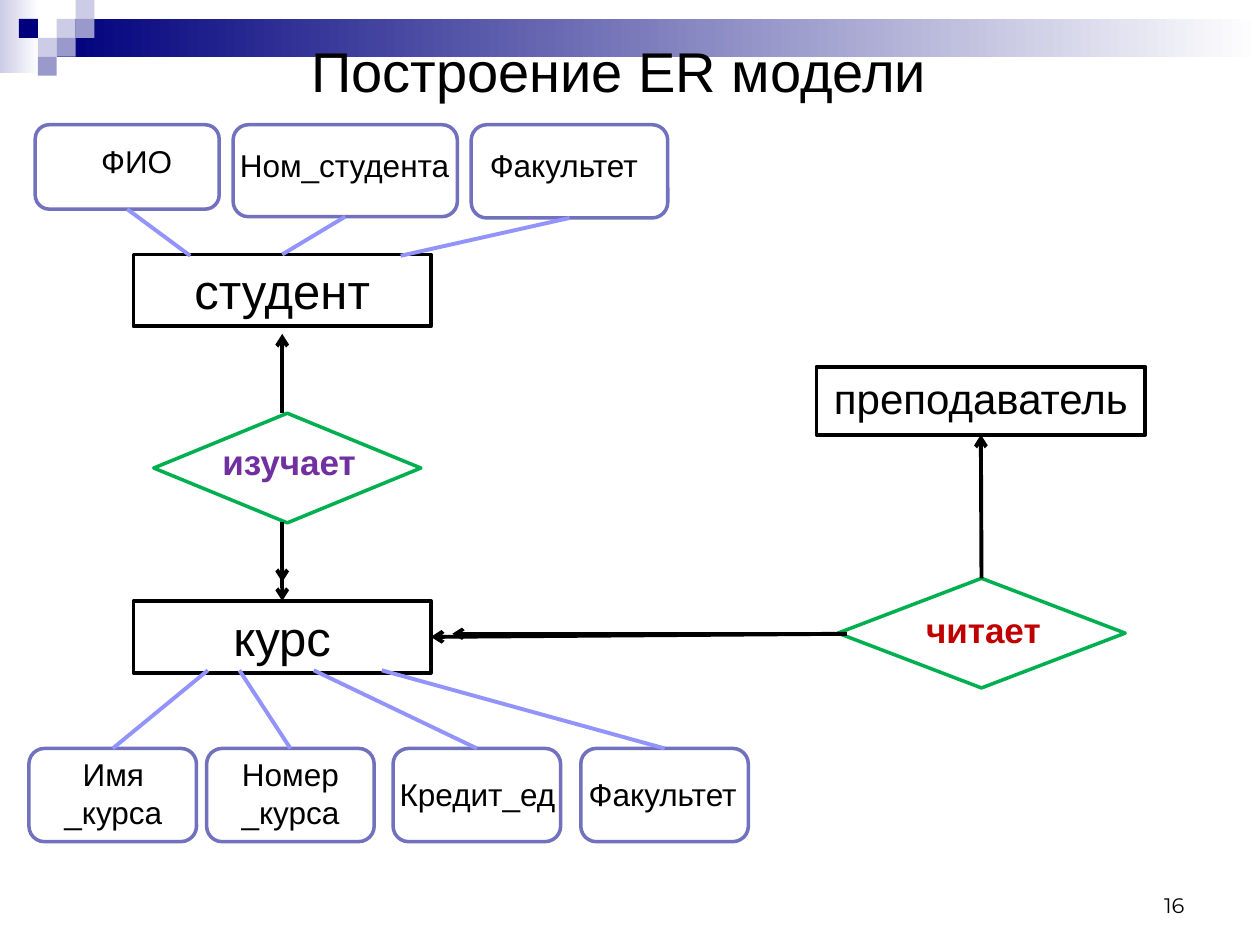
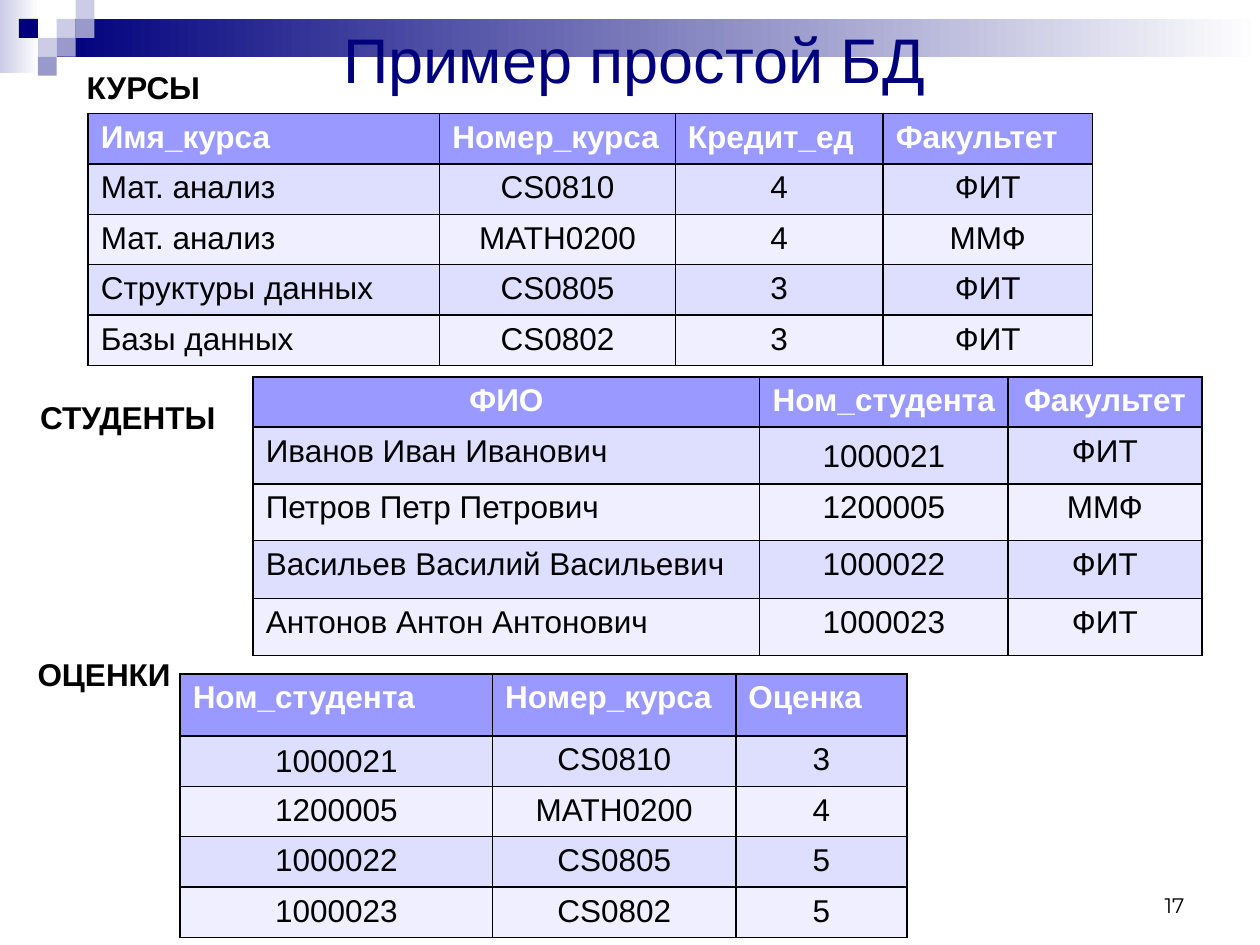
from dataclasses import dataclass
from typing import Any, NamedTuple, Optional

from lxml import etree
from pptx import Presentation
from pptx.dml.color import RGBColor
from pptx.enum import shapes, text
from pptx.oxml import ns
from pptx.util import Inches, Pt


@dataclass(frozen=True)
class Theme:
    font: str = "Arial"
    number_font: str = "Montserrat"
    black: str = "000000"
    white: str = "FFFFFF"
    navy: str = "00007D"
    pale: str = "CCCCE6"
    lilac: str = "9999CC"
    attribute_line: str = "7171BD"
    attribute_link: str = "9393FC"
    relation_line: str = "00B050"
    studies: str = "7030A0"
    teaches: str = "C00000"
    header_fill: str = "9999FF"
    row_fills: tuple[str, str] = ("DEDEFF", "EFEFFF")
    body: int = 18
    relation: int = 20
    number: int = 12
    thick: float = 2.25
    thin: float = 2


THEME = Theme()
ALIGN = {"l": text.PP_ALIGN.LEFT, "c": text.PP_ALIGN.CENTER, "r": text.PP_ALIGN.RIGHT}
RECT = shapes.MSO_SHAPE.RECTANGLE
ROUNDED = shapes.MSO_SHAPE.ROUNDED_RECTANGLE
DIAMOND = shapes.MSO_SHAPE.DIAMOND
TOP, BOTTOM, RIGHT = 0, 2, 3


class Box(NamedTuple):
    left: float
    top: float
    width: float
    height: float

    def emu(self) -> list[int]:
        return [Inches(v) for v in self]


class Style(NamedTuple):
    size: float
    color: str = THEME.black
    bold: bool = False
    align: str = "c"
    font: str = THEME.font


class Joint(NamedTuple):
    """The middle of one side of a shape."""
    shape: Any
    side: int


class Point(NamedTuple):
    x: float
    y: float


class Attribute(NamedTuple):
    name: str
    box: Box
    label: Box
    link_x: Optional[float]  # None: the middle of the entity's side


class Relation(NamedTuple):
    name: str
    color: str
    box: Box
    label: Box


@dataclass(frozen=True)
class DataTable:
    caption: str
    caption_box: Box
    left: float
    top: float
    columns: tuple[float, ...]
    heights: tuple[float, ...]
    header_align: str
    body_align: str
    tight_column: Optional[int]  # column whose first value has no margins
    rows: tuple[tuple[str, ...], ...]


def rgb(color: str) -> RGBColor:
    return RGBColor.from_string(color)


def write(tf: Any, content: str, style: Style) -> None:
    p = tf.paragraphs[0]
    p.alignment = ALIGN[style.align]
    for i, line in enumerate(content.split("\n")):
        if i:
            p.add_line_break()
        r = p.add_run()
        r.text = line
        r.font.name = style.font
        r.font.size = Pt(style.size)
        r.font.bold = style.bold
        r.font.color.rgb = rgb(style.color)


def add_text(s: Any, box: Box, content: str, style: Style,
             anchor: Any = text.MSO_ANCHOR.TOP, inset: Optional[float] = None) -> None:
    tf = s.shapes.add_textbox(*box.emu()).text_frame
    tf.word_wrap = True
    tf.vertical_anchor = anchor
    if inset is not None:
        tf.margin_left = tf.margin_right = tf.margin_top = tf.margin_bottom = Inches(inset)
    write(tf, content, style)


def add_outline(s: Any, kind: Any, box: Box, color: str, width: float) -> Any:
    sp = s.shapes.add_shape(kind, *box.emu())
    sp.shadow.inherit = False
    sp.fill.background()
    sp.line.color.rgb = rgb(color)
    sp.line.width = Pt(width)
    return sp


def add_entity(s: Any, box: Box, name: str, size: int) -> Any:
    sp = add_outline(s, RECT, box, THEME.black, THEME.thick)
    sp.text_frame.word_wrap = True
    sp.text_frame.vertical_anchor = text.MSO_ANCHOR.TOP
    write(sp.text_frame, name, Style(size))
    return sp


def add_relation(s: Any, relation: Relation) -> Any:
    sp = add_outline(s, DIAMOND, relation.box, THEME.relation_line, THEME.thin)
    add_text(s, relation.label, relation.name,
             Style(THEME.relation, relation.color, bold=True))
    return sp


def add_line(s: Any, start: Point | Joint, end: Point | Joint, color: str = THEME.black,
             width: float = THEME.thick, arrow: bool = True) -> None:
    ends = [Point(0, 0) if isinstance(e, Joint) else e for e in (start, end)]
    line = s.shapes.add_connector(shapes.MSO_CONNECTOR.STRAIGHT,
                                  *[Inches(v) for e in ends for v in e])
    if isinstance(start, Joint):
        line.begin_connect(*start)
    if isinstance(end, Joint):
        line.end_connect(*end)
    line.line.color.rgb = rgb(color)
    line.line.width = Pt(width)
    if arrow:
        tail = etree.SubElement(line.line._get_or_add_ln(), ns.qn("a:tailEnd"))
        tail.set("type", "arrow")
    etree.SubElement(line._element.spPr, ns.qn("a:effectLst"))


def add_attributes(s: Any, entity: Any, attributes: list[Attribute],
                   side: int, link_y: float) -> None:
    """Draw attributes beyond the given side of the entity and link them to it."""
    for a in attributes:
        sp = add_outline(s, ROUNDED, a.box, THEME.attribute_line, THEME.thin)
        add_text(s, a.label, a.name, Style(THEME.body), inset=0.04)
        end = Joint(entity, side) if a.link_x is None else Point(a.link_x, link_y)
        add_line(s, Joint(sp, BOTTOM if side == TOP else TOP), end,
                 THEME.attribute_link, arrow=False)


def add_band(s: Any, box: Box, *colors: str) -> None:
    """Fill a rectangle with one colour, or fade from the first to the second."""
    sp = s.shapes.add_shape(RECT, *box.emu())
    sp.shadow.inherit = False
    sp.line.fill.background()
    if len(colors) == 1:
        sp.fill.solid()
        sp.fill.fore_color.rgb = rgb(colors[0])
        return
    sp.fill.gradient()
    sp.fill.gradient_angle = 0
    for position, (stop, color) in enumerate(zip(sp.fill.gradient_stops, colors)):
        stop.position = position
        stop.color.rgb = rgb(color)


def new_slide(prs: Any, title: str, title_box: Box, style: Style, number: int) -> Any:
    s = prs.slides.add_slide(prs.slide_layouts[6])
    add_band(s, Box(0, 0, 0.31, 0.58), THEME.pale, THEME.white)
    add_band(s, Box(0.45, 0.15, 9.55, 0.3), THEME.navy, THEME.white)
    tile = 0.15
    for column, row, color in ((3, 1, THEME.pale), (4, 0, THEME.pale), (4, 1, THEME.lilac),
                               (2, 2, THEME.pale), (1, 1, THEME.navy), (3, 2, THEME.lilac),
                               (2, 3, THEME.lilac)):
        add_band(s, Box(column * tile, row * tile, tile, tile), color)
    add_text(s, title_box, title, style, text.MSO_ANCHOR.MIDDLE)
    add_text(s, Box(7.17, 6.83, 2.33, 0.5), str(number),
             Style(THEME.number, align="r", font=THEME.number_font), text.MSO_ANCHOR.BOTTOM)
    return s


def set_borders(cell: Any) -> None:
    tc_pr = cell._tc.get_or_add_tcPr()
    for i, side in enumerate(("lnL", "lnR", "lnT", "lnB")):
        ln = etree.Element(ns.qn(f"a:{side}"), w=str(Pt(1)))
        fill = etree.SubElement(ln, ns.qn("a:solidFill"))
        etree.SubElement(fill, ns.qn("a:srgbClr"), val=THEME.black)
        tc_pr.insert(i, ln)


def add_data_table(s: Any, data: DataTable) -> None:
    box = Box(data.left, data.top, sum(data.columns), sum(data.heights))
    table = s.shapes.add_table(len(data.rows), len(data.columns), *box.emu()).table
    for column, width in zip(table.columns, data.columns):
        column.width = Inches(width)
    for i, (row, height) in enumerate(zip(table.rows, data.heights)):
        row.height = Inches(height)
        header = i == 0
        aligns = data.header_align if header else data.body_align
        color = THEME.white if header else THEME.black
        for j, (cell, value) in enumerate(zip(row.cells, data.rows[i])):
            cell.fill.solid()
            cell.fill.fore_color.rgb = rgb(
                THEME.header_fill if header else THEME.row_fills[(i - 1) % 2])
            set_borders(cell)
            if i == 1 and j == data.tight_column:
                cell.vertical_anchor = text.MSO_ANCHOR.MIDDLE
                cell.margin_left = cell.margin_right = cell.margin_top = Inches(0.01)
                cell.margin_bottom = 0
            write(cell.text_frame, value, Style(THEME.body, color, header, aligns[j]))
    add_text(s, data.caption_box, data.caption, Style(THEME.body, bold=True, align="l"))


def build_er_model(prs: Any) -> None:
    s = new_slide(prs, "Построение ER модели ", Box(0.27, 0.2, 9.41, 0.72), Style(32), 16)
    student = add_entity(s, Box(1.06, 2.02, 2.36, 0.57), "студент", 28)
    course = add_entity(s, Box(1.06, 4.77, 2.36, 0.57), "курс", 28)
    teacher = add_entity(s, Box(6.48, 2.91, 2.61, 0.54), "преподаватель", 24)

    add_relation(s, Relation("изучает", THEME.studies, Box(1.22, 3.28, 2.12, 0.87),
                             Box(1.46, 3.45, 1.67, 0.44)))
    add_line(s, Point(2.24, 3.28), Point(2.24, 2.65))
    add_line(s, Point(2.24, 4.14), Joint(course, TOP))
    add_line(s, Point(2.24, 4.14), Point(2.24, 4.62))

    teaches = add_relation(s, Relation("читает", THEME.teaches, Box(6.65, 4.59, 2.28, 0.87),
                                       Box(7.02, 4.78, 1.57, 0.44)))
    add_line(s, Point(6.72, 5.03), Joint(course, RIGHT))
    add_line(s, Joint(teaches, TOP), Joint(teacher, BOTTOM))
    add_line(s, Point(6.72, 5.03), Point(3.59, 5.03), width=THEME.thin)

    add_attributes(s, student, [
        Attribute("ФИО", Box(0.28, 0.99, 1.46, 0.67), Box(0.3, 1.09, 1.57, 0.4), 1.51),
        Attribute("Ном_студента", Box(1.85, 0.99, 1.78, 0.73), Box(1.75, 1.12, 1.97, 0.4), None),
        Attribute("Факультет", Box(3.74, 0.99, 1.56, 0.74), Box(3.61, 1.12, 1.73, 0.4), 3.18),
    ], TOP, 2.03)
    course_attributes = [
        Attribute(name, Box(left, 5.94, 1.33, 0.74), Box(*label), link_x)
        for name, left, label, link_x in (
            ("Имя\n_курса", 0.23, (0.27, 5.95, 1.26, 0.71), 1.65),
            ("Номер\n_курса", 1.64, (1.81, 5.95, 0.99, 0.71), 1.9),
            ("Кредит_ед", 3.12, (3.08, 6.11, 1.42, 0.39), 2.49),
            ("Факультет", 4.61, (4.56, 6.11, 1.4, 0.4), 3.03))]
    add_attributes(s, course, course_attributes, BOTTOM, 5.32)


def build_database(prs: Any) -> None:
    s = new_slide(prs, "Пример простой БД", Box(0.28, 0.03, 9.51, 0.87),
                  Style(36, THEME.navy), 17)
    add_data_table(s, DataTable(
        "КУРСЫ", Box(0.59, 0.49, 1.73, 0.4), 0.7, 0.9,
        (2.79, 1.87, 1.65, 1.66), (0.4, 0.4, 0.4, 0.38, 0.4), "llll", "lccc", None,
        (("Имя_курса", "Номер_курса", "Кредит_ед", "Факультет"),
         ("Мат. анализ", "CS0810", "4", "ФИТ"),
         ("Мат. анализ", "MATH0200", "4", "ММФ"),
         ("Структуры данных", "CS0805", "3", "ФИТ"),
         ("Базы данных", "CS0802", "3", "ФИТ"))))
    add_data_table(s, DataTable(
        "ОЦЕНКИ", Box(0.2, 5.15, 1.57, 0.4), 1.43, 5.35,
        (2.48, 1.93, 1.36), (0.49, 0.4, 0.4, 0.4, 0.4), "lll", "ccc", 0,
        (("Ном_студента", "Номер_курса", "Оценка"),
         ("1000021", "CS0810", "3"),
         ("1200005", "MATH0200", "4"),
         ("1000022", "CS0805", "5"),
         ("1000023", "CS0802", "5"))))
    add_data_table(s, DataTable(
        "СТУДЕНТЫ", Box(0.22, 3.11, 1.81, 0.4), 2.01, 2.99,
        (4.02, 1.97, 1.54), (0.4, 0.45, 0.45, 0.46, 0.45), "ccc", "lcc", 1,
        (("ФИО", "Ном_cтудента", "Факультет"),
         ("Иванов Иван Иванович", "1000021", "ФИТ"),
         ("Петров Петр Петрович", "1200005", "ММФ"),
         ("Васильев Василий Васильевич", "1000022", "ФИТ"),
         ("Антонов Антон Антонович", "1000023", "ФИТ"))))


def main() -> None:
    prs = Presentation()
    prs.slide_width, prs.slide_height = Inches(10), Inches(7.5)
    build_er_model(prs)
    build_database(prs)
    prs.save("out.pptx")


if __name__ == "__main__":
    main()
